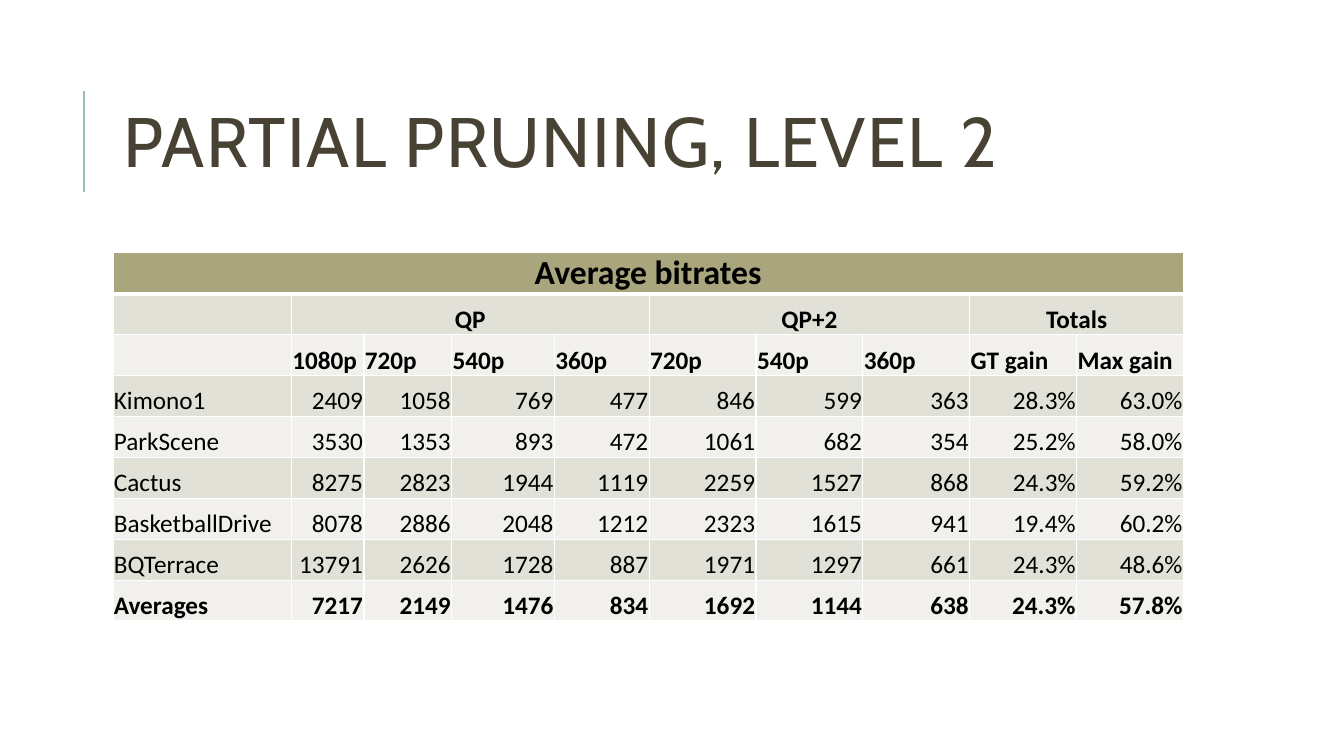
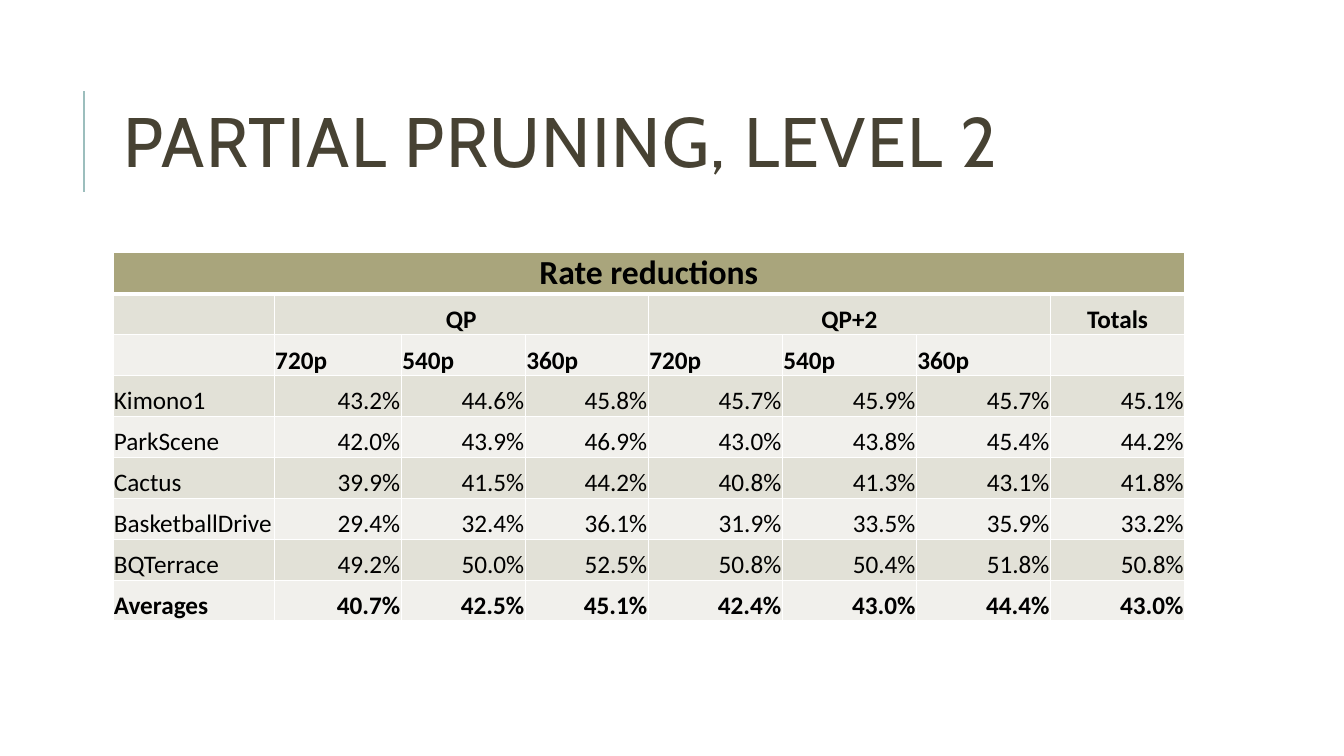
import dataclasses

import pptx
import pptx.dml.color
import pptx.enum.shapes
import pptx.enum.text
import pptx.oxml
import pptx.oxml.ns
import pptx.util

Inches = pptx.util.Inches
Pt = pptx.util.Pt
Align = pptx.enum.text.PP_ALIGN
Anchor = pptx.enum.text.MSO_ANCHOR


@dataclasses.dataclass(frozen=True)
class Theme:
    title_font: str = "Cabin"
    table_font: str = "Calibri"
    title_size: int = 50
    heading_size: int = 24
    cell_size: int = 18
    title_color: str = "474233"
    text_color: str = "000000"
    accent_color: str = "9CBEBD"
    heading_fill: str = "A9A57C"
    band_fills: tuple = ("F1F0EC", "E2E1D7")
    border_color: str = "FFFFFF"
    border_width: int = 1
    heading_border_width: int = 3


def rgb(color):
    return pptx.dml.color.RGBColor.from_string(color)


def set_values(target, values):
    for name, value in values.items():
        setattr(target, name, value)


class Deck:
    def __init__(self, theme):
        self.theme = theme
        self.presentation = pptx.Presentation()
        set_values(self.presentation, {"slide_width": Inches(13.33), "slide_height": Inches(7.5)})
        self.slide = None

    def add_slide(self, title):
        layout = self.presentation.slide_layouts.get_by_name("Title Only")
        self.slide = self.presentation.slides.add_slide(layout)
        self.add_accent_line()
        self.set_title(title)

    def add_accent_line(self):
        line = self.slide.shapes.add_connector(
            pptx.enum.shapes.MSO_CONNECTOR.STRAIGHT,
            Inches(0.83), Inches(1.9), Inches(0.83), Inches(0.9))
        line.line.color.rgb = rgb(self.theme.accent_color)
        line.line.width = Pt(1.5)
        properties = line.element.find(pptx.oxml.ns.qn("p:spPr"))
        properties.append(pptx.oxml.parse_xml(f"<a:effectLst {pptx.oxml.ns.nsdecls('a')}/>"))

    def set_title(self, text):
        title = self.slide.shapes.title
        set_values(title, {"left": Inches(1.12), "top": Inches(0.64),
                           "width": Inches(10.63), "height": Inches(1.64)})
        set_values(title.text_frame, {"text": text, "word_wrap": True,
                                      "vertical_anchor": Anchor.MIDDLE,
                                      "auto_size": pptx.enum.text.MSO_AUTO_SIZE.NONE})
        paragraph = title.text_frame.paragraphs[0]
        set_values(paragraph, {"alignment": Align.LEFT, "line_spacing": 0.8})
        run = paragraph.runs[0]
        set_values(run.font, {"name": self.theme.title_font, "size": Pt(self.theme.title_size)})
        run.font.color.rgb = rgb(self.theme.title_color)
        run.font._element.set("spc", "100")

    def add_table(self, heading, groups, columns, records, widths):
        """Groups are (text, column span) pairs; records are text rows, the last one bold."""
        rows = [[heading] + [""] * (len(widths) - 1),
                [cell for text, span in groups for cell in [text] + [""] * (span - 1)],
                columns, *records]
        frame = self.slide.shapes.add_table(
            len(rows), len(widths), Inches(1.12), Inches(2.5), Inches(10.63), Inches(3.65))
        table = frame.table
        set_values(table, {"first_row": False, "horz_banding": False})
        for column, width in zip(table.columns, widths):
            column.width = Inches(width)
        for row_index, row in enumerate(rows):
            for column_index, text in enumerate(row):
                if row_index < 2:
                    alignment = Align.CENTER
                elif row_index == 2 or column_index == 0:
                    alignment = Align.LEFT
                else:
                    alignment = Align.RIGHT
                bold = row_index < 3 or row_index == len(rows) - 1
                self.format_cell(table.cell(row_index, column_index), row_index,
                                 text, alignment, bold)
        for row_index, spans in enumerate([[len(widths)], [span for _, span in groups]]):
            start = 0
            for span in spans:
                if span > 1:
                    table.cell(row_index, start).merge(table.cell(row_index, start + span - 1))
                start += span

    def format_cell(self, cell, row_index, text, alignment, bold):
        theme = self.theme
        set_values(cell, {"text": text, "vertical_anchor": Anchor.BOTTOM,
                          "margin_left": Inches(0.01), "margin_right": Inches(0.01),
                          "margin_top": Inches(0.01), "margin_bottom": 0})
        paragraph = cell.text_frame.paragraphs[0]
        paragraph.alignment = alignment
        size = theme.cell_size if row_index else theme.heading_size
        set_values(paragraph.font, {"name": theme.table_font, "size": Pt(size), "bold": bold})
        for run in paragraph.runs:
            set_values(run.font, {"name": theme.table_font, "size": Pt(size), "bold": bold})
            run.font.color.rgb = rgb(theme.text_color)
        self.add_borders(cell, row_index)
        cell.fill.solid()
        cell.fill.fore_color.rgb = rgb(theme.band_fills[row_index % 2] if row_index
                                       else theme.heading_fill)

    def add_borders(self, cell, row_index):
        theme = self.theme
        properties = cell._tc.get_or_add_tcPr()
        for side in "LRTB":
            under_heading = (row_index, side) in [(0, "B"), (1, "T")]
            width = theme.heading_border_width if under_heading else theme.border_width
            properties.append(pptx.oxml.parse_xml(
                f'<a:ln{side} {pptx.oxml.ns.nsdecls("a")} w="{Pt(width)}"><a:solidFill>'
                f'<a:srgbClr val="{theme.border_color}"/></a:solidFill></a:ln{side}>'))


TITLE = "PARTIAL PRUNING, LEVEL 2"

BITRATES = {
    "heading": "Average bitrates",
    "groups": [("", 1), ("QP", 4), ("QP+2", 3), ("Totals", 2)],
    "columns": ["", "1080p", "720p", "540p", "360p", "720p", "540p", "360p",
                "GT gain", "Max gain"],
    "records": [row.split() for row in (
        "Kimono1 2409 1058 769 477 846 599 363 28.3% 63.0%",
        "ParkScene 3530 1353 893 472 1061 682 354 25.2% 58.0%",
        "Cactus 8275 2823 1944 1119 2259 1527 868 24.3% 59.2%",
        "BasketballDrive 8078 2886 2048 1212 2323 1615 941 19.4% 60.2%",
        "BQTerrace 13791 2626 1728 887 1971 1297 661 24.3% 48.6%",
        "Averages 7217 2149 1476 834 1692 1144 638 24.3% 57.8%")],
    "widths": [1.77, 0.72, 0.87, 1.02, 0.94] + [1.06] * 5,
}

REDUCTIONS = {
    "heading": "Rate reductions",
    "groups": [("", 1), ("QP", 3), ("QP+2", 3), ("Totals", 1)],
    "columns": ["", "720p", "540p", "360p", "720p", "540p", "360p", ""],
    "records": [row.split() for row in (
        "Kimono1 43.2% 44.6% 45.8% 45.7% 45.9% 45.7% 45.1%",
        "ParkScene 42.0% 43.9% 46.9% 43.0% 43.8% 45.4% 44.2%",
        "Cactus 39.9% 41.5% 44.2% 40.8% 41.3% 43.1% 41.8%",
        "BasketballDrive 29.4% 32.4% 36.1% 31.9% 33.5% 35.9% 33.2%",
        "BQTerrace 49.2% 50.0% 52.5% 50.8% 50.4% 51.8% 50.8%",
        "Averages 40.7% 42.5% 45.1% 42.4% 43.0% 44.4% 43.0%")],
    "widths": [1.6, 1.26, 1.23, 1.22] + [1.33] * 4,
}


def main():
    deck = Deck(Theme())
    for table in (BITRATES, REDUCTIONS):
        deck.add_slide(TITLE)
        deck.add_table(**table)
    deck.presentation.save("out.pptx")


if __name__ == "__main__":
    main()
